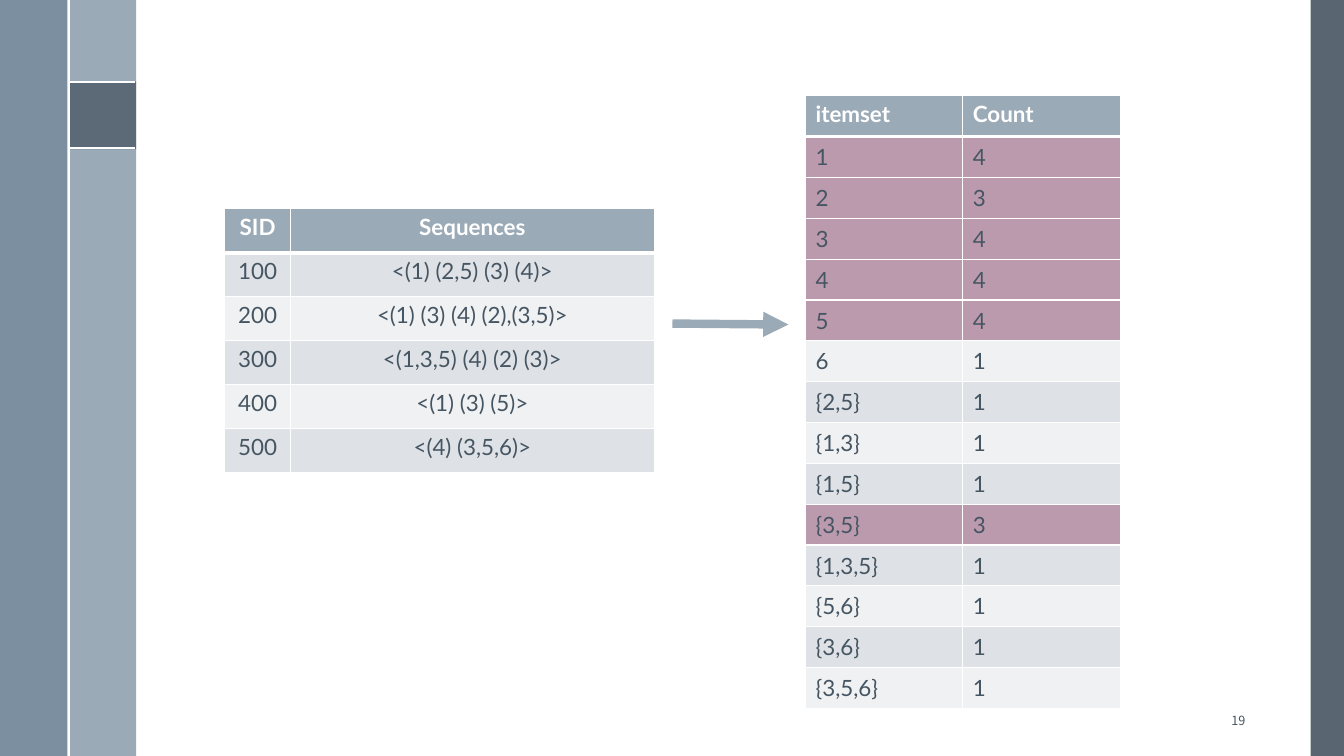
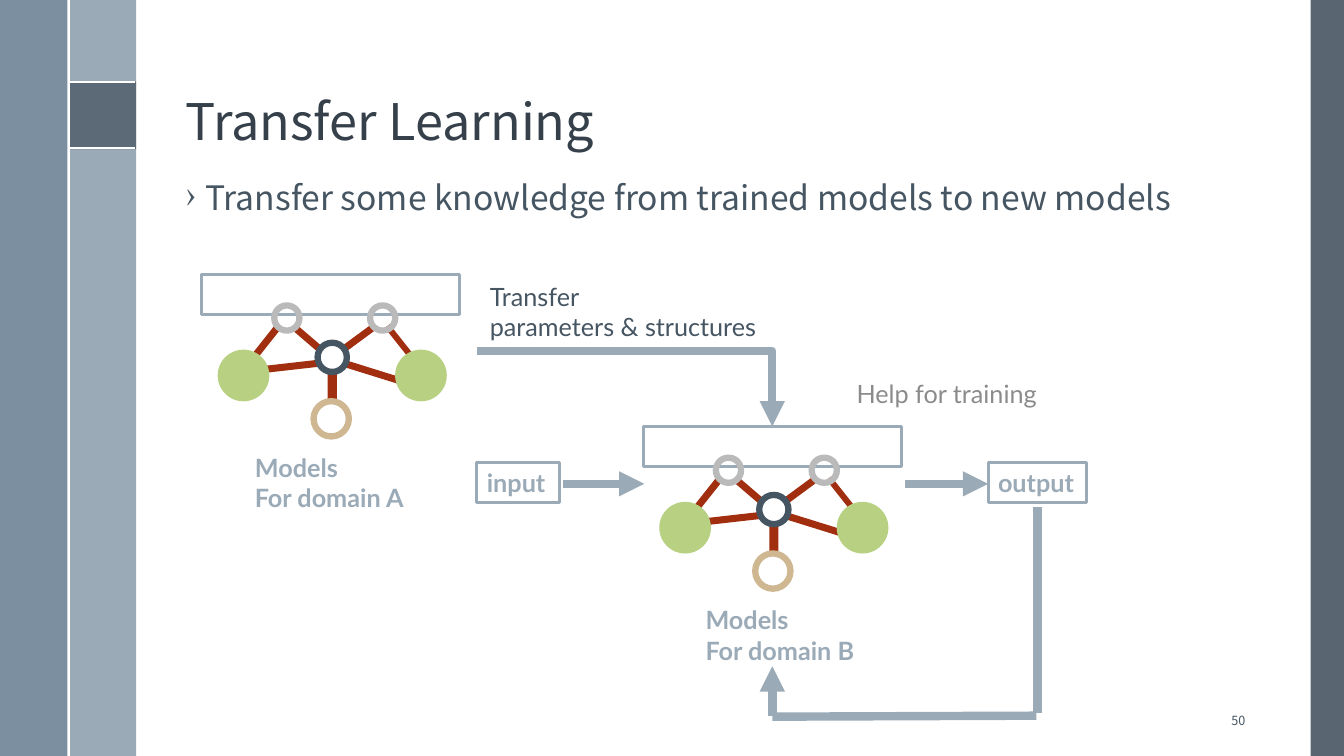
from lxml import etree
from pptx import Presentation
from pptx.dml.color import RGBColor
from pptx.enum import shapes as kinds, text as texts
from pptx.oxml import ns
from pptx.util import Inches, Pt

COLORS = {
    "white": "FFFFFF", "ink": "465562", "title": "35404A", "gray": "8B8B8B",
    "accent": "9BAAB7", "slate": "475562", "steel": "6A8093",
    "band_odd": "DEE2E6", "band_even": "EFF1F3", "frequent": "BC9AAE",
    "link": "A02E0F", "ring": "BABABA", "leaf": "B8D082", "root": "CEB791",
}
BODY_FONT, HEAD_FONT = "Lato", "Noto Sans CJK TC"
RECT, OVAL = kinds.MSO_SHAPE.RECTANGLE, kinds.MSO_SHAPE.OVAL
LEFT, CENTER, RIGHT = texts.PP_ALIGN.LEFT, texts.PP_ALIGN.CENTER, texts.PP_ALIGN.RIGHT
TOP, MIDDLE, BOTTOM = texts.MSO_ANCHOR.TOP, texts.MSO_ANCHOR.MIDDLE, texts.MSO_ANCHOR.BOTTOM

# Shared frame: (left, top, width, height), colour, opacity in percent
BANDS = [
    ((13, 0, 0.33, 7.5), "slate", 90),
    ((0.68, 0, 0.67, 7.5), "accent", 100),
    ((0, 0, 0.67, 7.5), "steel", 88),
    ((0.68, 0.81, 0.67, 0.67), "slate", 75),
]
RULES = [((0.68, 0.81), (1.34, 0.81)), ((0.68, 1.47), (1.34, 1.47)), ((0.68, 0), (0.68, 7.5))]

SEQUENCES = [
    ("SID", "Sequences"),
    ("100", "<(1) (2,5) (3) (4)>"),
    ("200", "<(1) (3) (4) (2),(3,5)>"),
    ("300", "<(1,3,5) (4) (2) (3)>"),
    ("400", "<(1) (3) (5)>"),
    ("500", "<(4) (3,5,6)>"),
]
ITEMSETS = [
    ("itemset", "Count"),
    ("1", "4"), ("2", "3"), ("3", "4"), ("4", "4"), ("5", "4"), ("6", "1"),
    ("{2,5}", "1"), ("{1,3}", "1"), ("{1,5}", "1"), ("{3,5}", "3"),
    ("{1,3,5}", "1"), ("{5,6}", "1"), ("{3,6}", "1"), ("{3,5,6}", "1"),
]
MIN_COUNT = 3

# Model parts, relative to the top left of the model's box
MODEL_BOX = (2.56, 0.4)
LINKS = [  # left, top, width, height, rotation
    (1.14, 1.07, 0.31, 0.09, 90),
    (1.77, 0.63, 0.37, 0.06, 51.6),
    (0.44, 0.63, 0.41, 0.07, 308.4),
    (1.39, 0.6, 0.33, 0.07, 143.6),
    (1.43, 0.94, 0.54, 0.07, 17.3),
    (0.62, 0.88, 0.54, 0.07, 353.5),
    (0.88, 0.6, 0.33, 0.07, 40.6),
]
NODES = [  # left, top, diameter, line colour, fill colour
    (1.15, 0.68, 0.29, "ink", None),
    (0.72, 0.31, 0.25, "ring", None),
    (1.67, 0.31, 0.25, "ring", None),
    (0.19, 0.78, 0.45, "leaf", "leaf"),
    (1.95, 0.78, 0.45, "leaf", "leaf"),
    (1.11, 1.26, 0.35, "root", None),
]
MODELS = [  # box corner, label corner, label
    ((6.38, 4.23), (6.9, 5.95), ["Models", "For domain B"]),
    ((2, 2.72), (2.43, 4.44), ["Models", "For domain A"]),
]
PORTS = [("input", (4.73, 4.59, 0.82, 0.4)), ("output", (9.8, 4.59, 0.98, 0.4))]
FLOWS = [  # start, end, arrowhead
    ((5.58, 4.8), (6.39, 4.8), "tail"),
    ((8.98, 4.8), (9.8, 4.8), "tail"),
    ((10.29, 5.03), (10.29, 7.07), None),
    ((7.66, 7.11), (10.28, 7.1), None),
    ((7.66, 6.61), (7.66, 7.1), "head"),
]


def rgb(name):
    return RGBColor.from_string(COLORS[name])


def inches(values):
    return [Inches(value) for value in values]


def add_xml(parent, tag, **attributes):
    element = etree.SubElement(parent, ns.qn(tag))
    for name, value in attributes.items():
        element.set(name, str(value))
    return element


def write(frame, lines, size=18, color="ink", font=BODY_FONT, bold=False, align=LEFT,
          anchor=TOP, wrap=True, spacing=None, bullet=None):
    frame.word_wrap = wrap
    frame.vertical_anchor = anchor
    for index, line in enumerate(lines):
        paragraph = frame.paragraphs[0] if index == 0 else frame.add_paragraph()
        paragraph.alignment = align
        paragraph.line_spacing = spacing
        if bullet:
            properties = paragraph._p.get_or_add_pPr()
            properties.set("marL", str(Inches(0.2)))
            properties.set("indent", str(Inches(-0.2)))
            add_xml(properties, "a:buChar", char=bullet)
        run = paragraph.add_run()
        run.text = line
        run.font.name, run.font.size, run.font.bold = font, Pt(size), bold
        run.font.color.rgb = rgb(color)


def add_text(shapes, box, lines, **text_format):
    textbox = shapes.add_textbox(*inches(box))
    write(textbox.text_frame, lines, **text_format)


def add_shape(shapes, kind, box, fill=None, line=None, weight=2.25, opacity=100, rotation=0):
    shape = shapes.add_shape(kind, *inches(box))
    shape.shadow.inherit = False
    shape.rotation = rotation
    if fill:
        shape.fill.solid()
        shape.fill.fore_color.rgb = rgb(fill)
        if opacity < 100:
            color = shape._element.spPr.find(".//" + ns.qn("a:srgbClr"))
            add_xml(color, "a:alpha", val=opacity * 1000)
    else:
        shape.fill.background()
    if line:
        shape.line.color.rgb = rgb(line)
        shape.line.width = Pt(weight)
    else:
        shape.line.fill.background()
    return shape


def add_line(shapes, start, end, color="accent", weight=6, arrow=None, bent=False):
    """Draw a line; arrow is "head" (at the start) or "tail" (at the end)."""
    kind = kinds.MSO_CONNECTOR.ELBOW if bent else kinds.MSO_CONNECTOR.STRAIGHT
    connector = shapes.add_connector(kind, *inches(start + end))
    connector.line.color.rgb = rgb(color)
    connector.line.width = Pt(weight)
    properties = connector._element.spPr
    if bent:
        properties.find(ns.qn("a:prstGeom")).set("prst", "bentConnector2")
    if arrow:
        add_xml(properties.find(ns.qn("a:ln")), f"a:{arrow}End", type="triangle")
    add_xml(properties, "a:effectLst")


def add_borders(cell, bottom):
    properties = cell._tc.get_or_add_tcPr()
    for side, weight in (("L", 1), ("R", 1), ("T", 1), ("B", bottom)):
        border = add_xml(properties, f"a:ln{side}", w=Pt(weight))
        add_xml(add_xml(border, "a:solidFill"), "a:srgbClr", val=COLORS["white"])


def add_table(slide, rows, corner, widths, height, is_marked=lambda row: False,
              align=LEFT, anchor=TOP):
    table = slide.shapes.add_table(
        len(rows), len(widths), *inches(corner + (sum(widths), height))).table
    for column, width in zip(table.columns, widths):
        column.width = Inches(width)
    for index, row in enumerate(rows):
        table.rows[index].height = Inches(height / len(rows))
        header = index == 0
        if header:
            fill = "accent"
        elif is_marked(row):
            fill = "frequent"
        else:
            fill = "band_odd" if index % 2 else "band_even"
        for column, value in enumerate(row):
            cell = table.cell(index, column)
            add_borders(cell, bottom=3 if header else 1)
            cell.fill.solid()
            cell.fill.fore_color.rgb = rgb(fill)
            write(cell.text_frame, [value], size=16, bold=header, align=align,
                  color="white" if header else "ink")
            cell.vertical_anchor = TOP if header else anchor


def add_model(slide, corner, label_corner, label):
    shapes = slide.shapes.add_group_shape().shapes
    left, top = corner
    add_shape(shapes, RECT, corner + MODEL_BOX, "white", "accent")
    for x, y, width, height, rotation in LINKS:
        add_shape(shapes, RECT, (left + x, top + y, width, height), "link", rotation=rotation)
    for x, y, size, line, fill in NODES:
        add_shape(shapes, OVAL, (left + x, top + y, size, size), fill, line, weight=4.5)
    add_text(shapes, label_corner + (1.84, 0.71), label, color="accent", bold=True)


def add_slide(presentation, number, title=None):
    """Add a slide with the shared bands, rules, page number and title style."""
    slide = presentation.slides.add_slide(presentation.slide_layouts[5 if title else 6])
    for box, color, opacity in BANDS:
        add_shape(slide.shapes, RECT, box, color, opacity=opacity)
    for start, end in RULES:
        add_line(slide.shapes, start, end, "white", 1.5)
    if title:
        placeholder = slide.shapes.title
        placeholder.left, placeholder.top, placeholder.width, placeholder.height = inches(
            (1.74, 0.19, 10.7, 1.36))
        write(placeholder.text_frame, [title], size=36, color="title", font=HEAD_FONT,
              anchor=BOTTOM, spacing=0.9)
    add_text(slide.shapes, (11.78, 6.95, 0.67, 0.4), [str(number)], size=9, font=HEAD_FONT,
             align=RIGHT, anchor=MIDDLE)
    return slide


def build_itemsets(presentation):
    slide = add_slide(presentation, 19)
    add_table(slide, SEQUENCES, (2.23, 2.07), (0.65, 3.61), 2.62, align=CENTER)
    add_table(slide, ITEMSETS, (7.99, 0.95), (1.56, 1.56), 6.08, anchor=MIDDLE,
              is_marked=lambda row: int(row[1]) >= MIN_COUNT)
    add_line(slide.shapes, (6.67, 3.21), (7.82, 3.22), arrow="tail")


def build_transfer(presentation):
    slide = add_slide(presentation, 50, "Transfer Learning")
    shapes = slide.shapes
    add_text(shapes, (1.74, 1.75, 10.7, 0.6),
             ["Transfer some knowledge from trained models to new models"],
             size=24, font=HEAD_FONT, spacing=0.9, bullet="›")
    for model in MODELS:
        add_model(slide, *model)
    for label, box in PORTS:
        port = add_shape(shapes, RECT, box, "white", "accent")
        write(port.text_frame, [label], color="accent", bold=True, wrap=False)
    for start, end, arrow in FLOWS:
        add_line(shapes, start, end, arrow=arrow)
    add_line(shapes, (4.73, 3.48), (7.66, 4.23), arrow="tail", bent=True)
    add_text(shapes, (4.76, 2.74, 2.89, 0.71), ["Transfer", "parameters & structures"])
    add_text(shapes, (7.76, 3.7, 3.26, 0.4), ["Help for training"], color="gray", align=CENTER)


def main():
    presentation = Presentation()
    presentation.slide_width, presentation.slide_height = inches((13.33, 7.5))
    build_itemsets(presentation)
    build_transfer(presentation)
    presentation.save("out.pptx")


if __name__ == "__main__":
    main()
